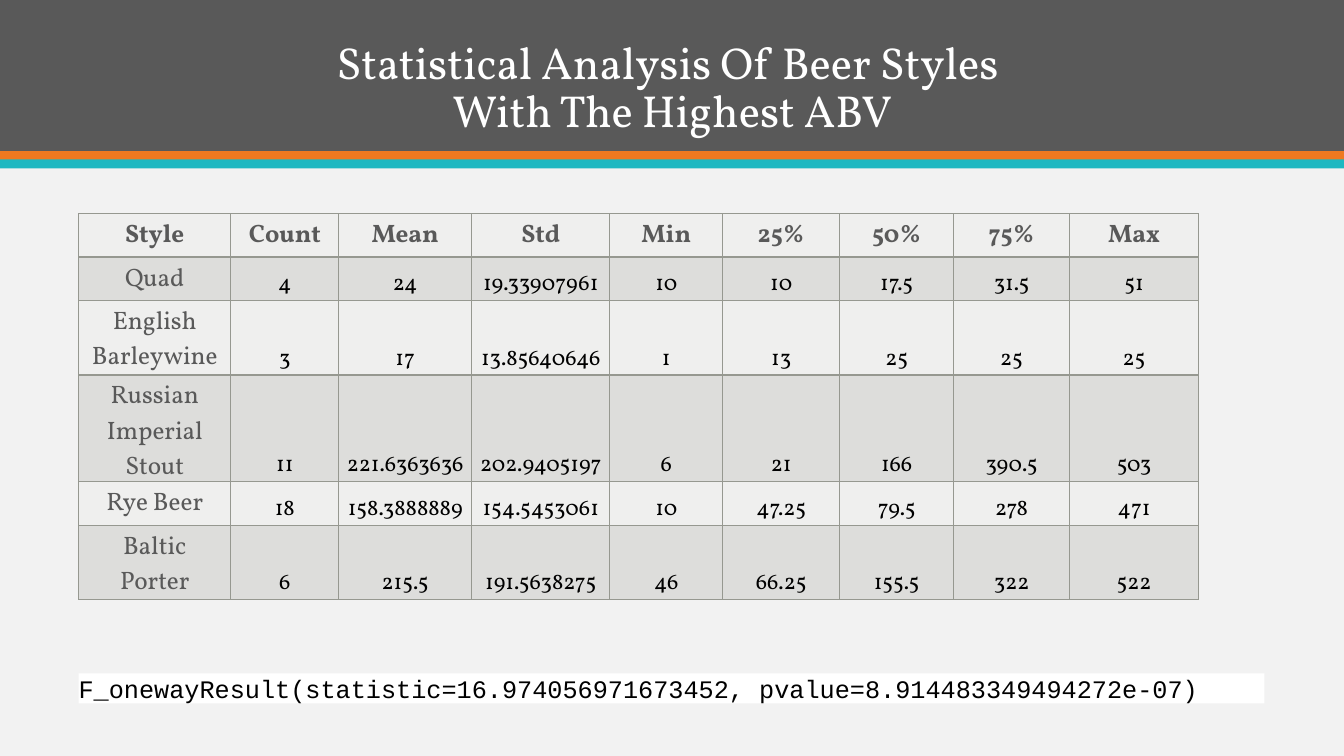
from lxml import etree
from pptx import Presentation
from pptx.dml.color import RGBColor
from pptx.enum.shapes import MSO_SHAPE
from pptx.enum.text import MSO_ANCHOR, PP_ALIGN
from pptx.oxml.ns import qn
from pptx.util import Inches, Pt

RECTANGLE = MSO_SHAPE.RECTANGLE
TOP, MIDDLE, BOTTOM = MSO_ANCHOR.TOP, MSO_ANCHOR.MIDDLE, MSO_ANCHOR.BOTTOM
LEFT, CENTER = PP_ALIGN.LEFT, PP_ALIGN.CENTER

COLORS = {
    "background": "F2F2F2",
    "header": "595959",
    "orange": "EF7920",
    "teal": "1EB8C1",
    "white": "FFFFFF",
    "black": "000000",
    "light_row": "EFEFEE",
    "dark_row": "DDDDDB",
    "grid": "969890",
}

TITLE_FONT = {"name": "Vollkorn", "size": Pt(32)}
HEADING_FONT = {"name": "Vollkorn", "size": Pt(18), "bold": True}
STYLE_FONT = {"name": "Vollkorn", "size": Pt(18), "bold": False}
NUMBER_FONT = {"name": "Vollkorn", "size": Pt(16), "bold": False}
RESULT_FONT = {"name": "Courier New", "size": Pt(18)}

NUMBER_MARGINS = {
    "margin_left": Inches(0.01),
    "margin_right": Inches(0.01),
    "margin_top": Inches(0.01),
    "margin_bottom": 0,
}
NO_MARGINS = dict.fromkeys(NUMBER_MARGINS, 0)

SLIDE_WIDTH = 13.33
BANDS = [(0, 1.5, "header"), (1.5, 0.09, "orange"), (1.58, 0.09, "teal")]
COLUMN_WIDTHS = [1.51, 1.07, 1.32, 1.37, 1.12, 1.16, 1.13, 1.15, 1.28]
ROW_HEIGHTS = [0.43, 0.43, 0.74, 1.06, 0.43, 0.74]
STATISTICS = [
    ["Style", "Count", "Mean", "Std", "Min", "25%", "50%", "75%", "Max"],
    ["Quad", "4", "24", "19.33907961", "10", "10", "17.5", "31.5", "51"],
    ["English Barleywine", "3", "17", "13.85640646", "1", "13", "25", "25", "25"],
    ["Russian Imperial Stout", "11", "221.6363636", "202.9405197", "6", "21",
     "166", "390.5", "503"],
    ["Rye Beer", "18", "158.3888889", "154.5453061", "10", "47.25", "79.5",
     "278", "471"],
    ["Baltic Porter", "6", "215.5", "191.5638275", "46", "66.25", "155.5",
     "322", "522"],
]


def rgb(color):
    return RGBColor.from_string(COLORS[color])


def apply(target, values):
    """Set each attribute of target named in values."""
    for attribute, value in values.items():
        setattr(target, attribute, value)


def write(frame, text, font, color, align):
    paragraph = frame.paragraphs[0]
    paragraph.text = text
    paragraph.alignment = align
    for run in paragraph.runs:
        apply(run.font, font)
        run.font.color.rgb = rgb(color)
    return paragraph


def add_rectangle(slide, left, top, width, height, color):
    rectangle = slide.shapes.add_shape(
        RECTANGLE, Inches(left), Inches(top), Inches(width), Inches(height))
    rectangle.shadow.inherit = False
    rectangle.fill.solid()
    rectangle.fill.fore_color.rgb = rgb(color)
    rectangle.line.fill.background()
    return rectangle


def add_title(slide, text):
    title = slide.shapes.add_textbox(
        Inches(1.42), Inches(0.28), Inches(10.5), Inches(1.13))
    apply(title.text_frame, {"word_wrap": True, "vertical_anchor": BOTTOM})
    paragraph = write(title.text_frame, text, TITLE_FONT, "white", CENTER)
    paragraph.line_spacing = 0.9


def add_borders(cell):
    """Draw a thin grid line on all sides; the lines must precede the fill."""
    properties = cell._tc.get_or_add_tcPr()
    for index, side in enumerate(("a:lnL", "a:lnR", "a:lnT", "a:lnB")):
        line = etree.Element(qn(side), w=str(Pt(1)))
        fill = etree.SubElement(line, qn("a:solidFill"))
        etree.SubElement(fill, qn("a:srgbClr"), val=COLORS["grid"])
        properties.insert(index, line)


def fill_cell(cell, text, row, column):
    cell.fill.solid()
    cell.fill.fore_color.rgb = rgb("dark_row" if row % 2 else "light_row")
    if row == 0:
        font, color = HEADING_FONT, "header"
    elif column == 0:
        font, color = STYLE_FONT, "header"
    else:
        font, color = NUMBER_FONT, "black"
        apply(cell, NUMBER_MARGINS)
    cell.vertical_anchor = BOTTOM if font is NUMBER_FONT else TOP
    write(cell.text_frame, text, font, color, CENTER)
    add_borders(cell)


def add_statistics_table(slide, left, top):
    table = slide.shapes.add_table(
        len(ROW_HEIGHTS), len(COLUMN_WIDTHS), Inches(left), Inches(top),
        Inches(sum(COLUMN_WIDTHS)), Inches(sum(ROW_HEIGHTS))).table
    for column, width in zip(table.columns, COLUMN_WIDTHS):
        column.width = Inches(width)
    for row, height in zip(table.rows, ROW_HEIGHTS):
        row.height = Inches(height)
    for row, values in enumerate(STATISTICS):
        for column, text in enumerate(values):
            fill_cell(table.cell(row, column), text, row, column)


def add_test_result(slide, text):
    frame = add_rectangle(slide, 0.78, 6.68, 11.76, 0.3, "white").text_frame
    apply(frame, {"word_wrap": True, "vertical_anchor": MIDDLE, **NO_MARGINS})
    write(frame, text, RESULT_FONT, "black", LEFT)


def main():
    presentation = Presentation()
    presentation.slide_width = Inches(SLIDE_WIDTH)
    presentation.slide_height = Inches(7.5)
    slide = presentation.slides.add_slide(presentation.slide_layouts[6])
    slide.background.fill.solid()
    slide.background.fill.fore_color.rgb = rgb("background")

    for top, height, color in BANDS:
        add_rectangle(slide, 0, top, SLIDE_WIDTH, height, color)
    add_title(slide, "Statistical Analysis Of Beer Styles \vWith The Highest ABV")
    add_statistics_table(slide, 0.78, 2.12)
    add_test_result(
        slide,
        "F_onewayResult(statistic=16.974056971673452, pvalue=8.914483349494272e-07)")
    presentation.save("out.pptx")


if __name__ == "__main__":
    main()
